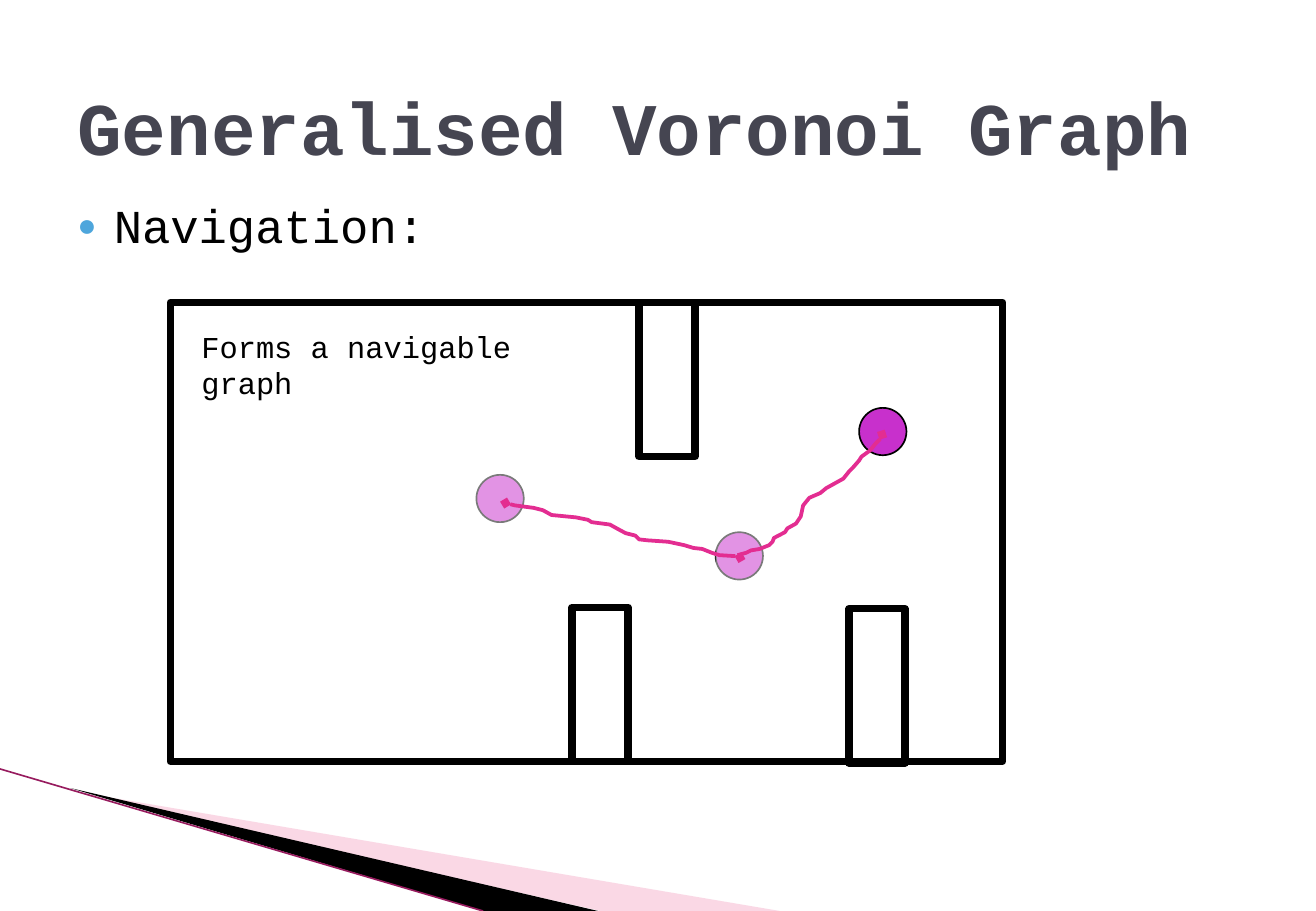
from pptx import Presentation
from pptx import util as u
from pptx.dml.color import RGBColor
from pptx.enum import shapes, text
from pptx.oxml.ns import qn
from lxml import etree

HUES = {"ink": "000000", "title": "454551", "dot": "C830CC", "path": "E32D91",
        "veil": "FFFFFF", "pink": "F39EC0", "edge": "971B5E", "bullet": "4EA6DC"}
FONT = "Courier New"
SIZE = (27.51, 19.05)

TITLE = "Generalised Voronoi Graph"
POINT = "Navigation:"
LABEL = ["Forms a navigable", "graph"]

WEDGES = [
    ([(1.5, 16.54), (16.3, 19.05), (12.55, 19.05)], "pink", 40),
    ([(1.47, 16.48), (12.5, 19.05), (10.1, 19.05)], "ink", 100),
]
EDGE = (0, 16.08, 10.1, 19.05)

ROOM = (3.56, 6.32, 17.4, 9.6)
WALL = (1.17, 3.23)
WALLS = [(11.96, 12.7), (13.36, 6.32), (17.75, 12.73)]
DOT = (0.99, 0.99)
DOTS = [(14.96, 11.13), (9.96, 9.93), (17.96, 8.53)]
VEIL = (1.6, 1.8)
VEILS = [(14.96, 10.52), (9.75, 9.32)]

PATHS = [
    ([(10.57, 10.52), (10.77, 10.57), (11.15, 10.62), (11.35, 10.67),
      (11.53, 10.77), (12.04, 10.82), (12.29, 10.87), (12.37, 10.92),
      (12.75, 10.97), (12.93, 11.07), (13.08, 11.15), (13.28, 11.2),
      (13.36, 11.28), (13.54, 11.3), (13.97, 11.33), (14.3, 11.4),
      (14.5, 11.46), (14.68, 11.48), (14.88, 11.56), (15.04, 11.61),
      (15.37, 11.63), (15.47, 11.66)], ["headEnd", "tailEnd"]),
    ([(15.42, 11.61), (15.6, 11.56), (15.7, 11.51), (15.88, 11.48),
      (16.08, 11.4), (16.15, 11.33), (16.18, 11.25), (16.41, 11.13),
      (16.46, 11.05), (16.64, 10.95), (16.74, 10.8), (16.79, 10.57),
      (16.92, 10.41), (17.15, 10.31), (17.27, 10.21), (17.63, 10.01),
      (17.75, 9.86), (17.83, 9.78), (17.96, 9.63), (18.01, 9.55),
      (18.19, 9.42), (18.31, 9.27), (18.39, 9.19), (18.44, 9.09)], ["tailEnd"]),
]


def rgb(hue):
    return RGBColor.from_string(HUES[hue])


def add(node, tag, **attrs):
    return etree.SubElement(node, qn(tag), attrs)


def style(shape, fill=None, alpha=100, line=None, width=1):
    shape.shadow.inherit = False
    if fill:
        shape.fill.solid()
        shape.fill.fore_color.rgb = rgb(fill)
        if alpha < 100:
            color = shape.fill._xPr.find(qn("a:solidFill"))[0]
            add(color, "a:alpha", val=str(alpha * 1000))
    else:
        shape.fill.background()
    if line:
        shape.line.color.rgb = rgb(line)
        shape.line.width = u.Pt(width)
        add(shape.line._ln, "a:round")
    else:
        shape.line.fill.background()


def draw(slide, kind, box, **look):
    shape = slide.shapes.add_shape(kind, *map(u.Cm, box))
    style(shape, **look)


def trace(slide, points, close, **look):
    grid = [(x * 100, y * 100) for x, y in points]
    pen = slide.shapes.build_freeform(*grid[0], scale=u.Cm(0.01))
    pen.add_line_segments(grid[1:], close=close)
    shape = pen.convert_to_shape()
    style(shape, **look)
    return shape


def write(slide, box, lines, size, hue="ink", bold=False, wrap=True):
    frame = slide.shapes.add_textbox(*map(u.Cm, box)).text_frame
    frame.word_wrap = wrap
    frame.text = "\n".join(lines)
    for para in frame.paragraphs:
        para.font.name = FONT
        para.font.size = u.Pt(size)
        para.font.bold = bold
        para.font.color.rgb = rgb(hue)
    return frame


def bullet(para):
    para.line_spacing = 0.9
    para.space_before = u.Pt(4)
    props = para._p.get_or_add_pPr()
    props.set("marL", str(u.Cm(0.76)))
    props.set("indent", str(u.Cm(-0.76)))
    marks = [add(props, "a:buClr"), add(props, "a:buSzPct", val="68000"),
             add(props, "a:buFont", typeface="Arial"),
             add(props, "a:buChar", char="●")]
    add(marks[0], "a:srgbClr", val=HUES["bullet"])
    first = props.find(qn("a:defRPr"))
    for mark in marks:
        first.addprevious(mark)


def main():
    deck = Presentation()
    deck.slide_width, deck.slide_height = map(u.Cm, SIZE)
    slide = deck.slides.add_slide(deck.slide_layouts[6])
    rect, oval = shapes.MSO_SHAPE.RECTANGLE, shapes.MSO_SHAPE.OVAL

    for points, hue, alpha in WEDGES:
        trace(slide, points, True, fill=hue, alpha=alpha)
    edge = slide.shapes.add_connector(shapes.MSO_CONNECTOR.STRAIGHT,
                                      *map(u.Cm, EDGE))
    edge.line.color.rgb = rgb("edge")
    edge.line.width = u.Pt(0.95)
    add(edge._element.spPr, "a:effectLst")

    frame = write(slide, (1.37, 1.04, 24.77, 3.18), [TITLE], 44, "title", True)
    frame.vertical_anchor = text.MSO_ANCHOR.MIDDLE
    frame = write(slide, (1.37, 4.11, 24.77, 1.8), [POINT], 28)
    bullet(frame.paragraphs[0])

    for spot in DOTS:
        draw(slide, oval, spot + DOT, fill="dot", line="ink")
    for spot in VEILS:
        draw(slide, rect, spot + VEIL, fill="veil", alpha=48)
    for box in [ROOM] + [spot + WALL for spot in WALLS]:
        draw(slide, rect, box, line="ink", width=4.33)
    write(slide, (3.96, 6.73, 7.37, 2.31), LABEL, 18, wrap=False)
    for points, ends in PATHS:
        route = trace(slide, points, False, line="path", width=2.25)
        for end in ends:
            add(route.line._ln, "a:" + end, type="diamond")

    deck.save("out.pptx")


if __name__ == "__main__":
    main()
